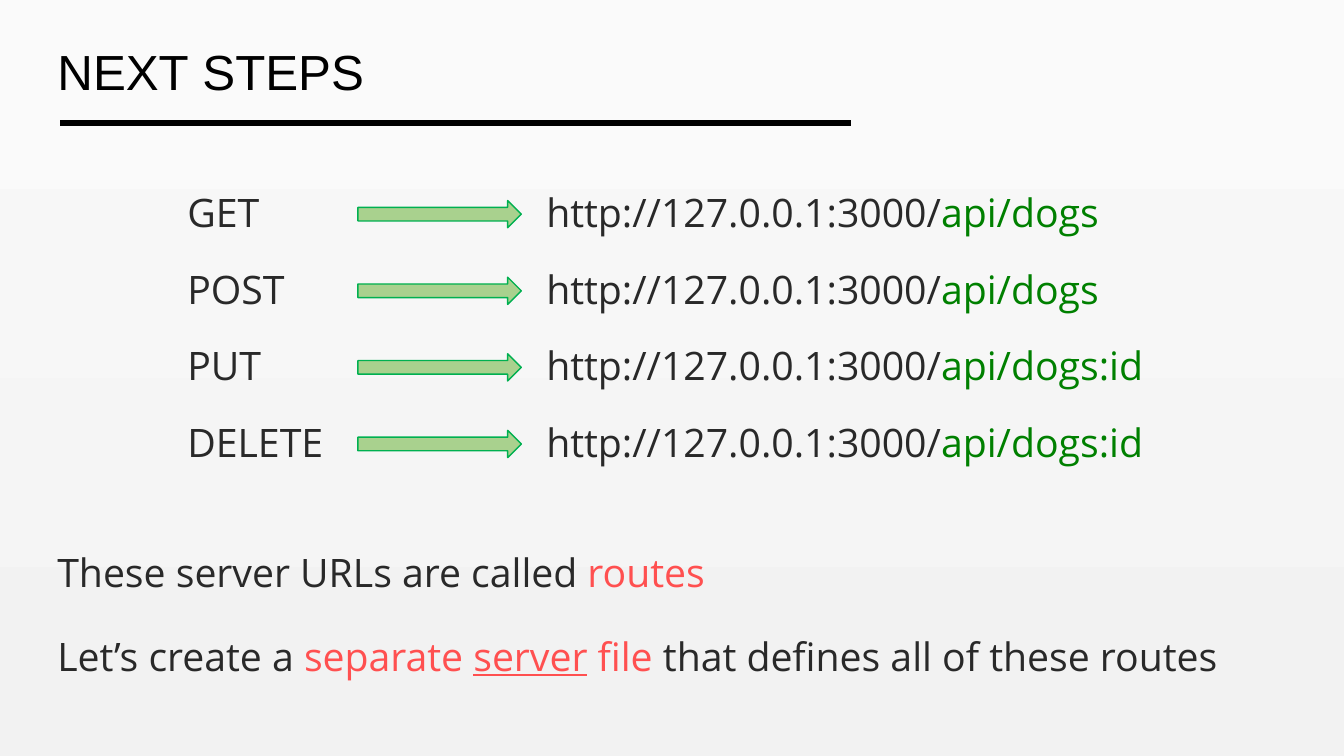
import pptx
import pptx.util
import pptx.dml.color
import pptx.enum.shapes
import pptx.enum.text
import pptx.oxml.ns
import lxml.etree

Inches = pptx.util.Inches
Pt = pptx.util.Pt
RGBColor = pptx.dml.color.RGBColor

BLACK = RGBColor(0x00, 0x00, 0x00)
INK = RGBColor(0x29, 0x29, 0x29)
PATH_GREEN = RGBColor(0x00, 0x80, 0x00)
ACCENT_RED = RGBColor(0xFF, 0x50, 0x50)
ARROW_FILL = RGBColor(0xA9, 0xD1, 0x8E)
ARROW_LINE = RGBColor(0x00, 0xB0, 0x50)
BACKGROUND_TOP = RGBColor(0xFA, 0xFA, 0xFA)
BACKGROUND_BOTTOM = RGBColor(0xF2, 0xF2, 0xF2)

# Grid in inches
MARGIN = 0.47
METHOD_LEFT, ARROW_LEFT, URL_LEFT = 1.76, 3.55, 5.32
ROUTES_TOP, ROUTE_PITCH = 1.82, 0.76
SENTENCES_TOP, SENTENCE_PITCH = 5.39, 0.83
TEXT_HEIGHT, ARROW_HEIGHT = 0.57, 0.27

BASE_URL = "http://127.0.0.1:3000/"
ROUTES = [
    ("GET", "api/dogs"),
    ("POST", "api/dogs"),
    ("PUT", "api/dogs:id"),
    ("DELETE", "api/dogs:id"),
]
# Each run is text, colour, underlined
SENTENCES = [
    [("These server URLs are called ", INK, False), ("routes", ACCENT_RED, False)],
    [
        ("Let’s create a ", INK, False),
        ("separate ", ACCENT_RED, False),
        ("server", ACCENT_RED, True),
        (" file ", ACCENT_RED, False),
        ("that defines all of these routes", INK, False),
    ],
]


def add_text(slide, left, top, width, runs):
    """Add a one-line text box made of (text, colour, underlined) runs."""
    box = slide.shapes.add_textbox(
        Inches(left), Inches(top), Inches(width), Inches(TEXT_HEIGHT)
    )
    box.text_frame.word_wrap = True
    paragraph = box.text_frame.paragraphs[0]
    paragraph.font.name = "Open Sans"
    paragraph.font.size = Pt(28)
    for text, colour, underlined in runs:
        run = paragraph.add_run()
        run.text = text
        run.font.color.rgb = colour
        if underlined:
            run.font.underline = True


presentation = pptx.Presentation()
presentation.slide_width = Inches(13.33)
presentation.slide_height = Inches(7.5)
slide = presentation.slides.add_slide(presentation.slide_layouts.get_by_name("Title Only"))

background = slide.background.fill
background.gradient()
background.gradient_angle = 270
for stop, colour in zip(background.gradient_stops, (BACKGROUND_TOP, BACKGROUND_BOTTOM)):
    stop.color.rgb = colour

title = slide.shapes.title
title.left, title.top = Inches(MARGIN), Inches(0.24)
title.width, title.height = Inches(7.8), Inches(0.76)
title.text_frame.text = "next steps"
title.text_frame.auto_size = pptx.enum.text.MSO_AUTO_SIZE.NONE
title.text_frame.vertical_anchor = pptx.enum.text.MSO_ANCHOR.TOP
paragraph = title.text_frame.paragraphs[0]
paragraph.alignment = pptx.enum.text.PP_ALIGN.LEFT
paragraph.space_before = Pt(5)
paragraph.font.name = "Arial"
paragraph.font.size = Pt(44)
paragraph.font.color.rgb = BLACK
paragraph.runs[0].font._element.set("cap", "small")

rule = slide.shapes.add_connector(
    pptx.enum.shapes.MSO_CONNECTOR.STRAIGHT,
    Inches(0.6), Inches(1.22), Inches(8.44), Inches(1.22),
)
rule.line.color.rgb = BLACK
rule.line.width = Pt(4.5)
lxml.etree.SubElement(rule._element.spPr, pptx.oxml.ns.qn("a:effectLst"))

for row, (method, route) in enumerate(ROUTES):
    top = ROUTES_TOP + row * ROUTE_PITCH
    add_text(slide, METHOD_LEFT, top, 2.22, [(method, INK, False)])
    add_text(slide, URL_LEFT, top, 6.67, [(BASE_URL, INK, False), (route, PATH_GREEN, False)])
    arrow = slide.shapes.add_shape(
        pptx.enum.shapes.MSO_SHAPE.RIGHT_ARROW,
        Inches(ARROW_LEFT), Inches(top + 0.17), Inches(1.62), Inches(ARROW_HEIGHT),
    )
    arrow.shadow.inherit = False
    arrow.fill.solid()
    arrow.fill.fore_color.rgb = ARROW_FILL
    arrow.line.color.rgb = ARROW_LINE
    arrow.line.width = Pt(1)

for row, runs in enumerate(SENTENCES):
    add_text(slide, MARGIN, SENTENCES_TOP + row * SENTENCE_PITCH, 11.78, runs)

presentation.save("out.pptx")
